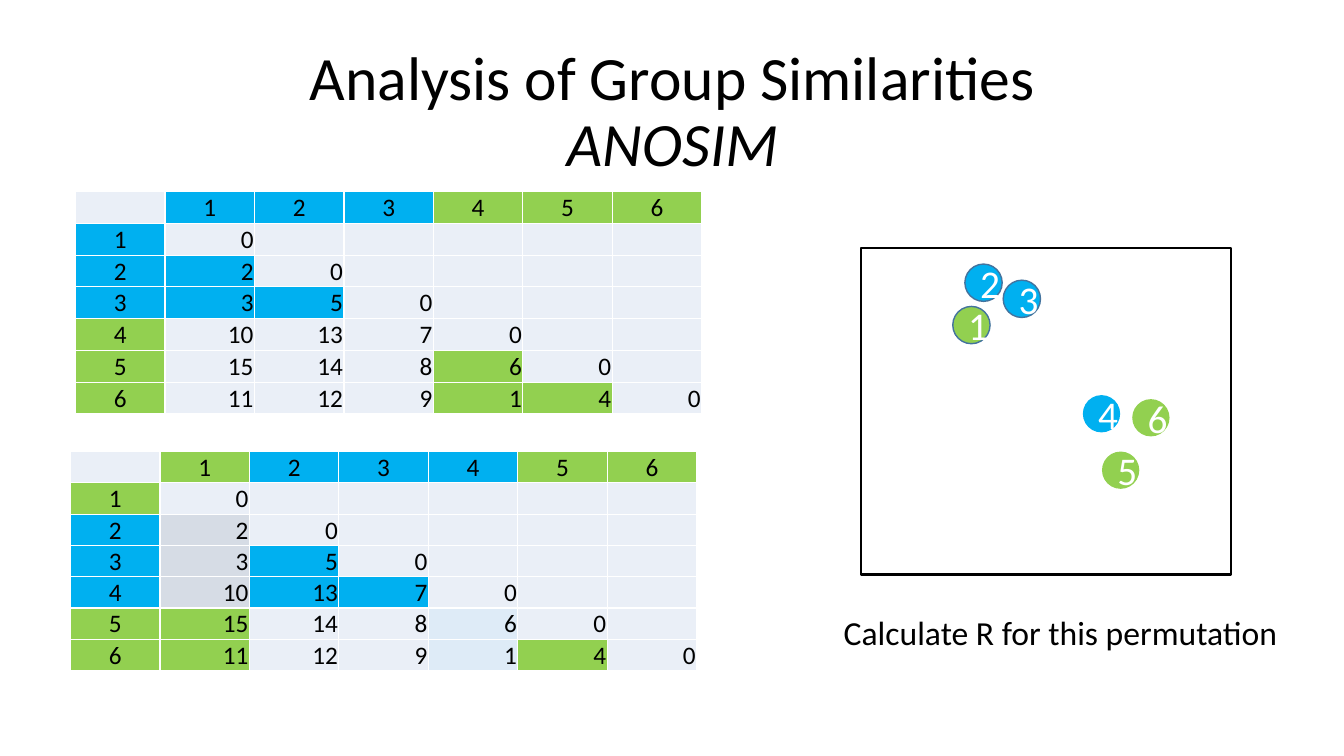
import dataclasses

import pptx
import pptx.dml.color
import pptx.enum.shapes
import pptx.enum.text
import pptx.util

PX = 9144  # EMU in one px, 100 px to the inch

ALIGN = pptx.enum.text.PP_ALIGN
ANCHOR = pptx.enum.text.MSO_ANCHOR
SHAPE = pptx.enum.shapes.MSO_SHAPE


@dataclasses.dataclass(frozen=True)
class Theme:
    font: str = "Calibri"
    black: str = "000000"
    white: str = "FFFFFF"
    blue: str = "00B0F0"
    green: str = "92D050"
    outline: str = "43739E"
    pale: str = "EAEFF7"
    grey: str = "D6DCE5"
    light_blue: str = "DEEBF7"
    title_size: int = 44
    point_size: int = 28
    caption_size: int = 24
    cell_size: int = 18


THEME = Theme()

DISTANCES = [
    [0],
    [2, 0],
    [3, 5, 0],
    [10, 13, 7, 0],
    [15, 14, 8, 6, 0],
    [11, 12, 9, 1, 4, 0],
]
ACTUAL_BLUE = {1, 2, 3}
PERMUTED_BLUE = {2, 3, 4}
PERMUTED_TINTS = {
    (2, 1): THEME.grey,
    (3, 1): THEME.grey,
    (4, 1): THEME.grey,
    (5, 4): THEME.light_blue,
    (6, 4): THEME.light_blue,
}

POINT_DIAMETER = 37
# sample, left, top, outlined
POINTS = [
    (3, 995, 278, True),
    (1, 945, 304, True),
    (2, 957, 262, True),
    (4, 1074, 392, False),
    (6, 1123, 396, False),
    (5, 1093, 448, False),
]


def px(*lengths):
    return [pptx.util.Emu(length * PX) for length in lengths]


def rgb(color):
    return pptx.dml.color.RGBColor.from_string(color)


def fill_solid(target, color):
    target.fill.solid()
    target.fill.fore_color.rgb = rgb(color)


def format_text(text_frame, size, color, alignment):
    for paragraph in text_frame.paragraphs:
        paragraph.alignment = alignment
        for run in paragraph.runs:
            run.font.name = THEME.font
            run.font.size = pptx.util.Pt(size)
            run.font.color.rgb = rgb(color)


def set_title(slide, heading, subheading):
    title = slide.shapes.title
    title.left, title.top, title.width, title.height = px(92, 40, 1150, 145)
    text_frame = title.text_frame
    text_frame.text = f"{heading}\v{subheading}"
    text_frame.vertical_anchor = ANCHOR.MIDDLE
    format_text(text_frame, THEME.title_size, THEME.black, ALIGN.CENTER)
    paragraph = text_frame.paragraphs[0]
    paragraph.line_spacing = 0.9
    paragraph.runs[-1].font.italic = True


def add_frame(slide, left, top, width, height):
    frame = slide.shapes.add_shape(SHAPE.RECTANGLE, *px(left, top, width, height))
    frame.shadow.inherit = False
    frame.fill.background()
    frame.line.color.rgb = rgb(THEME.black)
    frame.line.width = pptx.util.Pt(2)


def group_color(sample, blue_group):
    return THEME.blue if sample in blue_group else THEME.green


def add_point(slide, sample, left, top, outlined):
    point = slide.shapes.add_shape(
        SHAPE.OVAL, *px(left, top, POINT_DIAMETER, POINT_DIAMETER))
    point.shadow.inherit = False
    fill_solid(point, group_color(sample, PERMUTED_BLUE))
    if outlined:
        point.line.color.rgb = rgb(THEME.outline)
        point.line.width = pptx.util.Pt(1)
    else:
        point.line.fill.background()
    point.text_frame.text = str(sample)
    point.text_frame.vertical_anchor = ANCHOR.MIDDLE
    format_text(point.text_frame, THEME.point_size, THEME.white, ALIGN.CENTER)


def cell_color(row, column, blue_group, tints):
    """Colour headers and within-group distances by group; the rest stays pale."""
    if (row, column) in tints:
        return tints[row, column]
    if row == column or (row and column > row):
        return THEME.pale
    if row == 0 or column == 0:
        return group_color(row or column, blue_group)
    if (row in blue_group) == (column in blue_group):
        return group_color(row, blue_group)
    return THEME.pale


def cell_text(row, column):
    if row == 0 or column == 0:
        return str(row or column or "")
    return str(DISTANCES[row - 1][column - 1]) if column <= row else ""


def add_distance_table(slide, left, top, blue_group, tints):
    count = len(DISTANCES) + 1
    table = slide.shapes.add_table(
        count, count, *px(left, top, 621, 31 * count)).table
    table.first_row = False
    table.horz_banding = False
    for row in range(count):
        for column in range(count):
            cell = table.cell(row, column)
            cell.margin_left, cell.margin_right, cell.margin_top, cell.margin_bottom = px(1, 1, 1, 0)
            cell.vertical_anchor = ANCHOR.BOTTOM
            fill_solid(cell, cell_color(row, column, blue_group, tints))
            cell.text_frame.text = cell_text(row, column)
            is_header = row == 0 or column == 0
            format_text(cell.text_frame, THEME.cell_size, THEME.black,
                        ALIGN.CENTER if is_header else ALIGN.RIGHT)


def add_caption(slide, text, left, top, width, height):
    caption = slide.shapes.add_textbox(*px(left, top, width, height))
    caption.text_frame.word_wrap = True
    caption.text_frame.text = text
    format_text(caption.text_frame, THEME.caption_size, THEME.black, ALIGN.LEFT)


def main():
    presentation = pptx.Presentation()
    presentation.slide_width, presentation.slide_height = px(1333, 750)
    slide = presentation.slides.add_slide(
        presentation.slide_layouts.get_by_name("Title Only"))

    set_title(slide, "Analysis of Group Similarities", "ANOSIM")
    add_frame(slide, 854, 246, 367, 324)
    for point in POINTS:
        add_point(slide, *point)
    add_distance_table(slide, 75, 190, ACTUAL_BLUE, {})
    add_caption(slide, "Calculate R for this permutation", 827, 602, 500, 50)
    add_distance_table(slide, 70, 448, PERMUTED_BLUE, PERMUTED_TINTS)

    presentation.save("out.pptx")


if __name__ == "__main__":
    main()
